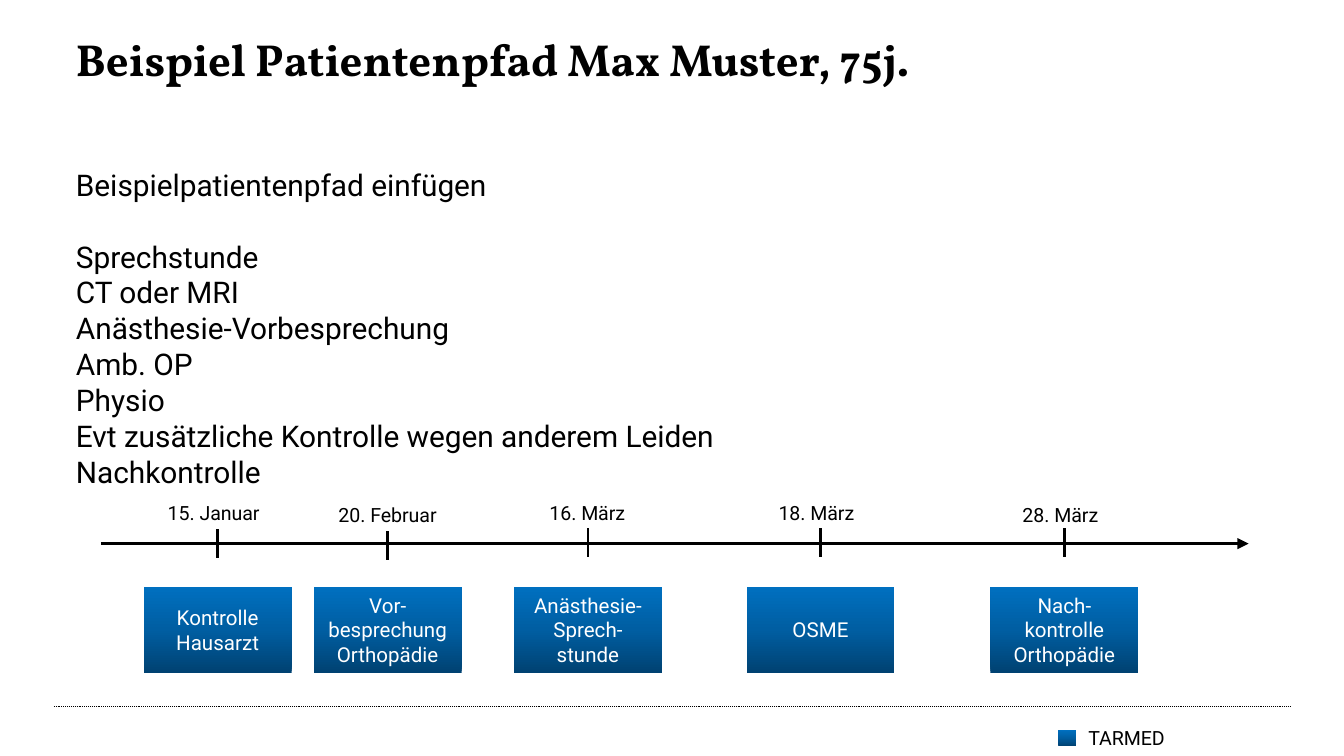
from copy import deepcopy
from dataclasses import dataclass

from lxml import etree
from pptx import Presentation
from pptx.dml.color import RGBColor
from pptx.enum.dml import MSO_LINE
from pptx.enum.shapes import MSO_CONNECTOR, MSO_SHAPE
from pptx.enum.text import MSO_ANCHOR, MSO_AUTO_SIZE, PP_ALIGN
from pptx.oxml.ns import qn
from pptx.util import Pt

SCALE = 4572
BLACK = RGBColor(0x00, 0x00, 0x00)
WHITE = RGBColor(0xFF, 0xFF, 0xFF)
NAVY = RGBColor(0x00, 0x42, 0x72)
COBALT = RGBColor(0x00, 0x5E, 0xA2)
BLUE = RGBColor(0x00, 0x70, 0xC0)
STRAIGHT = MSO_CONNECTOR.STRAIGHT
RECT = MSO_SHAPE.RECTANGLE
DOTS = MSO_LINE.ROUND_DOT
LEFT, CENTER = PP_ALIGN.LEFT, PP_ALIGN.CENTER
TOP, MIDDLE = MSO_ANCHOR.TOP, MSO_ANCHOR.MIDDLE
FIXED = MSO_AUTO_SIZE.NONE
SANS, SERIF = "Roboto", "Vollkorn"

BOX_W, BOX_H, BOX_TOP = 220, 128, 873
TICK_H, LABEL_H = 43, 56
AXIS = 809


@dataclass
class Area:
    left: int
    top: int
    width: int
    height: int

    def emu(self) -> list[int]:
        return [n * SCALE for n in (self.left, self.top, self.width, self.height)]


@dataclass
class Visit:
    mid: int
    tick: int
    label: Area
    date: str
    text: str


VISITS = [
    Visit(324, 788, Area(230, 736, 188, LABEL_H), "15. Januar", "Kontrolle Hausarzt"),
    Visit(577, 791, Area(484, 739, 196, LABEL_H), "20. Februar", "Vor-besprechung Orthopädie"),
    Visit(875, 786, Area(798, 736, 180, LABEL_H), "16. März", "Anästhesie-Sprech-stunde"),
    Visit(1221, 786, Area(1139, 736, 166, LABEL_H), "18. März", "OSME"),
    Visit(1584, 786, Area(1502, 738, 166, LABEL_H), "28. März", "Nach-kontrolle Orthopädie"),
]
INTRO = "Beispielpatientenpfad einfügen"
STEPS = [
    "Sprechstunde",
    "CT oder MRI",
    "Anästhesie-Vorbesprechung",
    "Amb. OP",
    "Physio",
    "Evt zusätzliche Kontrolle wegen anderem Leiden",
    "Nachkontrolle",
]


def write(shape, lines: list[str], size: float, color=BLACK, face=SANS,
          bold=False, align=LEFT, anchor=TOP, inset=True) -> None:
    frame = shape.text_frame
    frame.text = "\n".join(lines)
    frame.word_wrap = True
    frame.auto_size = FIXED
    frame.vertical_anchor = anchor
    if not inset:
        frame.margin_left = frame.margin_right = 0
        frame.margin_top = frame.margin_bottom = 0
    for para in frame.paragraphs:
        para.alignment = align
        para.font.size = Pt(size)
        para.font.name = face
        para.font.bold = bold
        para.font.color.rgb = color


def add_text(slide, area: Area, lines: list[str], size: float, inset=True):
    box = slide.shapes.add_textbox(*area.emu())
    write(box, lines, size, inset=inset)
    return box


def add_line(slide, start: tuple[int, int], end: tuple[int, int],
             width: float, dash=None, arrow=False) -> None:
    ends = [n * SCALE for n in (*start, *end)]
    line = slide.shapes.add_connector(STRAIGHT, *ends)
    line.line.color.rgb = BLACK
    line.line.width = Pt(width)
    if dash is not None:
        line.line.dash_style = dash
    props = line._element.spPr
    if arrow:
        etree.SubElement(props.find(qn("a:ln")), qn("a:tailEnd"), type="triangle")
    etree.SubElement(props, qn("a:effectLst"))


def add_box(slide, area: Area):
    box = slide.shapes.add_shape(RECT, *area.emu())
    box.shadow.inherit = False
    box.line.fill.background()
    box.fill.gradient()
    box.fill.gradient_angle = 90
    stops = box._element.spPr.find(".//" + qn("a:gsLst"))
    stops.append(deepcopy(stops[-1]))
    shades = zip(box.fill.gradient_stops, (0, 0.5, 1), (NAVY, COBALT, BLUE))
    for stop, place, color in shades:
        stop.position = place
        stop.color.rgb = color
    return box


def add_visit(slide, visit: Visit) -> None:
    add_line(slide, (visit.mid, visit.tick), (visit.mid, visit.tick + TICK_H), 1.5)
    add_text(slide, visit.label, [visit.date], 10.5)
    box = add_box(slide, Area(visit.mid - BOX_W // 2, BOX_TOP, BOX_W, BOX_H))
    write(box, [visit.text], 11, WHITE, align=CENTER, anchor=MIDDLE)


def main() -> None:
    deck = Presentation()
    deck.slide_width = 2000 * SCALE
    deck.slide_height = 1125 * SCALE
    slide = deck.slides.add_slide(deck.slide_layouts[5])

    title = slide.shapes.title
    title.left, title.top, title.width, title.height = Area(113, 47, 1778, 80).emu()
    write(title, ["Beispiel Patientenpfad Max Muster, 75j."], 24,
          face=SERIF, bold=True, inset=False)

    add_line(slide, (80, 1051), (1920, 1051), 0.5, dash=DOTS)
    body = add_text(slide, Area(113, 248, 1778, 538), [INTRO, *STEPS], 16, inset=False)
    body.text_frame.paragraphs[1].space_before = Pt(19.2)

    add_line(slide, (150, AXIS), (1858, AXIS), 1.5, arrow=True)
    for visit in VISITS:
        add_visit(slide, visit)

    add_box(slide, Area(1575, 1086, 26, 24))
    add_text(slide, Area(1600, 1071, 188, LABEL_H), ["TARMED"], 10.5)
    deck.save("out.pptx")


if __name__ == "__main__":
    main()
